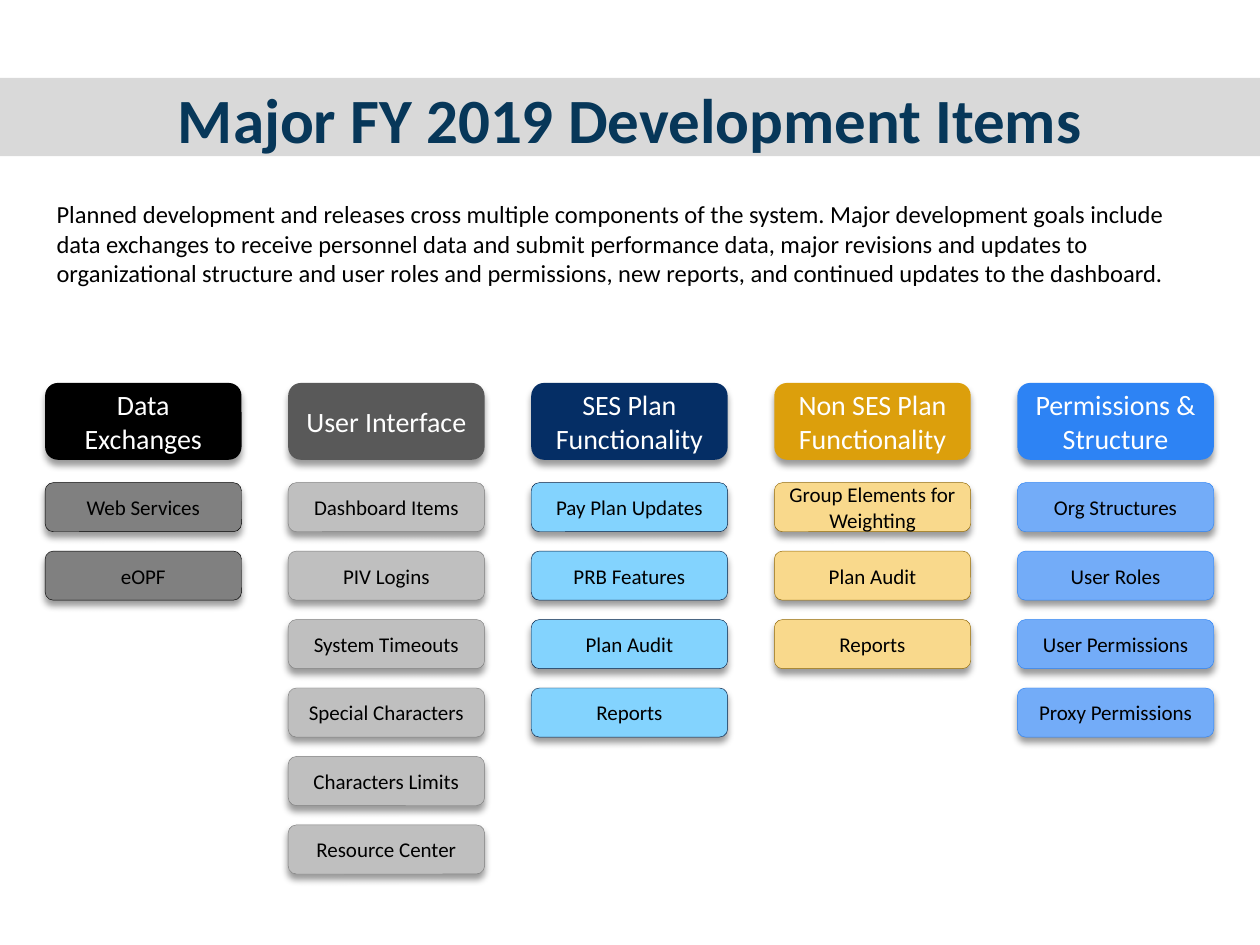
from lxml import etree
from pptx import Presentation
from pptx import util as u
from pptx.dml.color import RGBColor
from pptx.enum import shapes, text
from pptx.oxml import parse_xml
from pptx.oxml.ns import qn

BLACK = RGBColor(0x00, 0x00, 0x00)
WHITE = RGBColor(0xFF, 0xFF, 0xFF)
BAND = RGBColor(0xD9, 0xD9, 0xD9)
TITLE = RGBColor(0x07, 0x37, 0x59)
GRAY = RGBColor(0x80, 0x80, 0x80)
DARK_GRAY = RGBColor(0x59, 0x59, 0x59)
LIGHT_GRAY = RGBColor(0xBF, 0xBF, 0xBF)
NAVY = RGBColor(0x05, 0x2E, 0x65)
DEEP_NAVY = RGBColor(0x04, 0x1F, 0x44)
SKY = RGBColor(0x83, 0xD3, 0xFE)
GOLD = RGBColor(0xDC, 0x9F, 0x0C)
BROWN = RGBColor(0x93, 0x6A, 0x08)
CREAM = RGBColor(0xF9, 0xD9, 0x8C)
BLUE = RGBColor(0x2D, 0x83, 0xF4)
LIGHT_BLUE = RGBColor(0x73, 0xAC, 0xF8)

# heading, heading fill, item fill, item line, items
COLUMNS = [
    ("Data Exchanges", BLACK, GRAY, BLACK, ["Web Services", "eOPF"]),
    ("User Interface", DARK_GRAY, LIGHT_GRAY, GRAY,
     ["Dashboard Items", "PIV Logins", "System Timeouts",
      "Special Characters", "Characters Limits", "Resource Center"]),
    ("SES Plan Functionality", NAVY, SKY, DEEP_NAVY,
     ["Pay Plan Updates", "PRB Features", "Plan Audit", "Reports"]),
    ("Non SES Plan Functionality", GOLD, CREAM, BROWN,
     ["Group Elements for Weighting", "Plan Audit", "Reports"]),
    ("Permissions & Structure", BLUE, LIGHT_BLUE, BLUE,
     ["Org Structures", "User Roles", "User Permissions", "Proxy Permissions"]),
]
LEFT, COLUMN_STEP, BOX_WIDTH = 0.91, 4.9, 3.96
HEAD_TOP, HEAD_HEIGHT = 7.72, 1.55
ITEM_TOP, ITEM_STEP, ITEM_HEIGHT = 9.73, 1.38, 0.99

SHADOW = (
    '<a:outerShdw xmlns:a="http://schemas.openxmlformats.org/drawingml/2006/main"'
    ' blurRad="50800" dist="38100" dir="5400000" algn="t" rotWithShape="0">'
    '<a:srgbClr val="000000"><a:alpha val="40000"/></a:srgbClr></a:outerShdw>'
)


def style_text(p, size, color, bold=False):
    for r in p.runs:
        r.font.name = "Calibri"
        r.font.size = u.Pt(size)
        r.font.bold = bold
        r.font.color.rgb = color


def add_box(s, label, left, top, height, fill, size, color, line=None):
    """Add a shadowed rounded box with a centred label; lengths in cm."""
    sp = s.shapes.add_shape(shapes.MSO_SHAPE.ROUNDED_RECTANGLE, u.Cm(left),
                            u.Cm(top), u.Cm(BOX_WIDTH), u.Cm(height))
    sp.fill.solid()
    sp.fill.fore_color.rgb = fill
    if line is None:
        sp.line.fill.background()
    else:
        sp.line.color.rgb = line
        sp.line.width = u.Pt(0.25)
    sp.shadow.inherit = False
    sp._element.spPr.find(qn("a:effectLst")).append(parse_xml(SHADOW))
    tf = sp.text_frame
    tf.word_wrap = True
    tf.vertical_anchor = text.MSO_ANCHOR.MIDDLE
    p = tf.paragraphs[0]
    p.text = label
    p.alignment = text.PP_ALIGN.CENTER
    style_text(p, size, color)


prs = Presentation()
prs.slide_width, prs.slide_height = u.Cm(25.4), u.Cm(19.05)
s = prs.slides.add_slide(prs.slide_layouts[5])

# Title band
sp = s.shapes.title
sp.left, sp.top, sp.width, sp.height = u.Cm(0), u.Cm(1.57), u.Cm(25.4), u.Cm(1.58)
sp.fill.solid()
sp.fill.fore_color.rgb = BAND
tf = sp.text_frame
tf.auto_size = text.MSO_AUTO_SIZE.NONE
tf.vertical_anchor = text.MSO_ANCHOR.BOTTOM
tf.margin_left = tf.margin_right = u.Cm(1.75)
tf.margin_top, tf.margin_bottom = u.Cm(0.08), u.Cm(0)
p = tf.paragraphs[0]
p.text = "Major FY 2019 Development Items"
p.alignment = text.PP_ALIGN.CENTER
p.line_spacing = u.Pt(36)
style_text(p, 36, TITLE, bold=True)

# Introduction
sp = s.shapes.add_textbox(u.Cm(0.89), u.Cm(3.89), u.Cm(23.55), u.Cm(2.06))
tf = sp.text_frame
tf.word_wrap = True
p = tf.paragraphs[0]
p.text = (
    "Planned development and releases cross multiple components of the system. "
    "Major development goals include data exchanges to receive personnel data and "
    "submit performance data, major revisions and updates to organizational "
    "structure and user roles and permissions, new reports, and continued updates "
    "to the dashboard."
)
style_text(p, 14, BLACK)

# Columns of development items
for col, (heading, head_fill, item_fill, item_line, items) in enumerate(COLUMNS):
    left = LEFT + col * COLUMN_STEP
    add_box(s, heading, left, HEAD_TOP, HEAD_HEIGHT, head_fill, 16, WHITE)
    for row, item in enumerate(items):
        add_box(s, item, left, ITEM_TOP + row * ITEM_STEP, ITEM_HEIGHT,
                item_fill, 12, BLACK, item_line)

prs.save("out.pptx")
